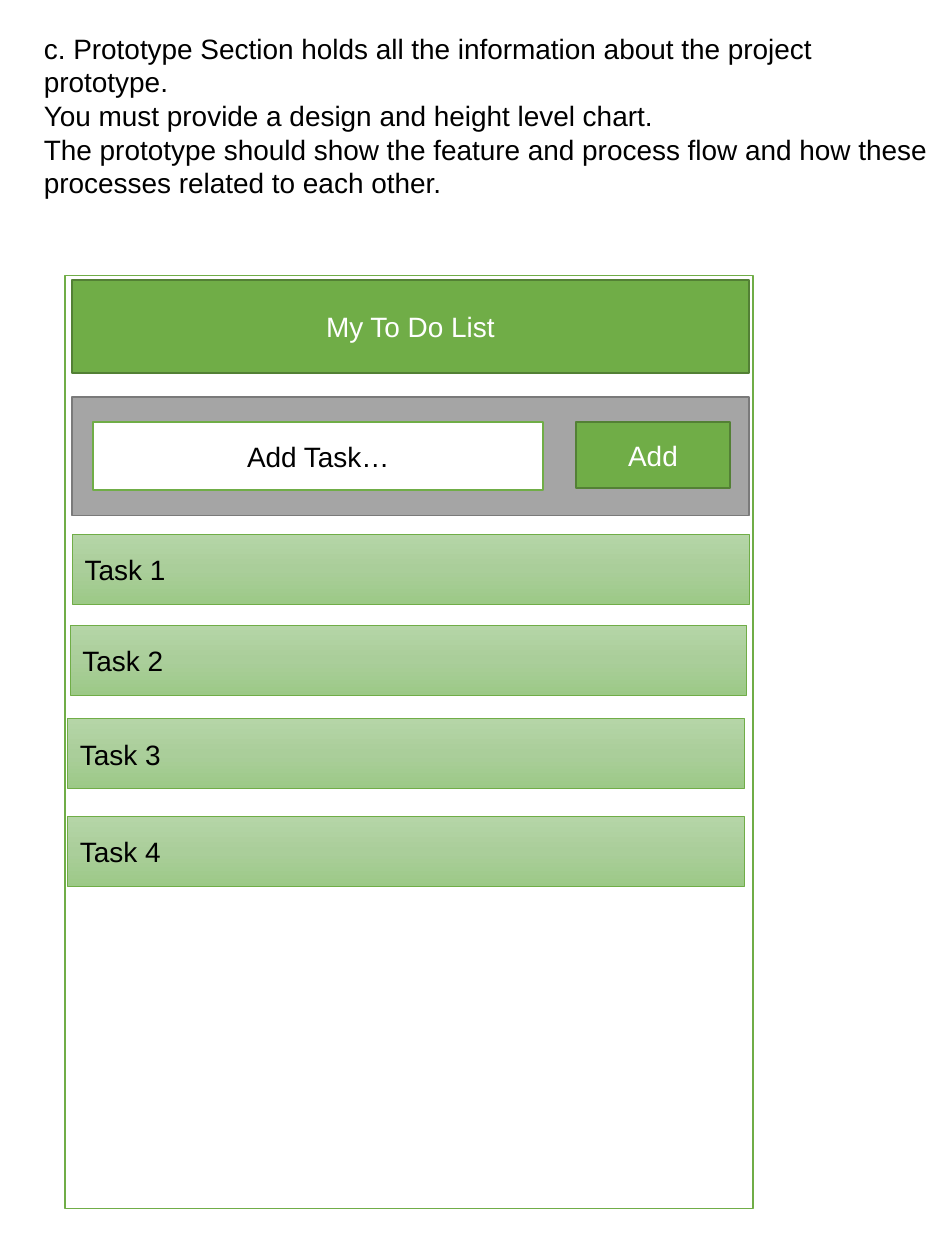
from copy import deepcopy

from pptx import Presentation
from pptx.dml.color import RGBColor
from pptx.enum.shapes import MSO_SHAPE as Shape
from pptx.enum.text import MSO_ANCHOR as Anchor, MSO_AUTO_SIZE as AutoSize, PP_ALIGN as Align
from pptx.oxml.ns import qn
from pptx.util import Pt

COLORS = {
    "white": "FFFFFF", "black": "000000",
    "green": "70AD47", "dark_green": "538035",
    "gray": "A5A5A5", "dark_gray": "7A7A7A",
    "task_top": "B5D5A7", "task_middle": "AACE9A", "task_bottom": "9CC987",
}
TASK_GRADIENT = ("task_top", "task_middle", "task_bottom")
INTRO = (
    "c. Prototype Section holds all the information about the project prototype.",
    "You must provide a design and height level chart.",
    "The prototype should show the feature and process flow and how these "
    "processes related to each other.",
)


def rgb(name):
    return RGBColor.from_string(COLORS[name])


def write(para, text, color="black", align=Align.LEFT, size=16, font="Arial"):
    para.alignment = align
    span = para.add_run()
    span.text = text
    span.font.name = font
    span.font.size = Pt(size)
    span.font.color.rgb = rgb(color)


class Mockup:
    """Draws text boxes and rectangles on one page in a shared style."""

    def __init__(self, page):
        self.page = page

    def text(self, lines, *bounds):
        box = self.page.shapes.add_textbox(*map(Pt, bounds))
        frame = box.text_frame
        frame.word_wrap = True
        frame.auto_size = AutoSize.SHAPE_TO_FIT_TEXT
        for index, line in enumerate(lines):
            write(frame.add_paragraph() if index else frame.paragraphs[0], line)

    def rectangle(self, *bounds, fill="white", line="green", width=1, text="", **style):
        box = self.page.shapes.add_shape(Shape.RECTANGLE, *map(Pt, bounds))
        box.shadow.inherit = False
        box.line.color.rgb = rgb(line)
        box.line.width = Pt(width)
        if fill:
            box.fill.solid()
            box.fill.fore_color.rgb = rgb(fill)
        if text:
            box.text_frame.vertical_anchor = Anchor.MIDDLE
            write(box.text_frame.paragraphs[0], text, **{"align": Align.CENTER, **style})
        return box

    def task(self, text, *bounds):
        box = self.rectangle(*bounds, fill=None, width=0.5, text=text, align=Align.LEFT)
        box.fill.gradient()
        box.fill.gradient_angle = 270
        stops = next(box.element.iter(qn("a:gsLst")))
        stops.insert(1, deepcopy(stops[0]))
        for index, stop in enumerate(box.fill.gradient_stops):
            stop.position = index / 2
            stop.color.rgb = rgb(TASK_GRADIENT[index])


def main():
    deck = Presentation()
    deck.slide_width, deck.slide_height = Pt(540), Pt(720)
    mockup = Mockup(deck.slides.add_slide(deck.slide_layouts[6]))
    left, width = 41.1, 386.8

    mockup.text(INTRO, 18, 14.4, 522, 104.4)
    mockup.rectangle(37.3, 157.4, 393.2, 533.2)
    mockup.rectangle(left, 160, left + width - 41.1, 53.3, fill="green",
                     line="dark_green", text="My To Do List", color="white")
    mockup.rectangle(left, 227, width, 67.6, fill="gray", line="dark_gray")
    mockup.rectangle(53.2, 241.3, 257.3, 38.7, text="Add Task…")
    mockup.rectangle(329.2, 241.3, 88, 37.5, fill="green",
                     line="dark_green", text="Add", color="white")

    task_corners = ((41.3, 305.3), (40, 357.3), (38.6, 410.8), (38.6, 466.7))
    for number, (x, y) in enumerate(task_corners, start=1):
        mockup.task(f"Task {number}", x, y, width, 40)

    deck.save("out.pptx")


if __name__ == "__main__":
    main()
